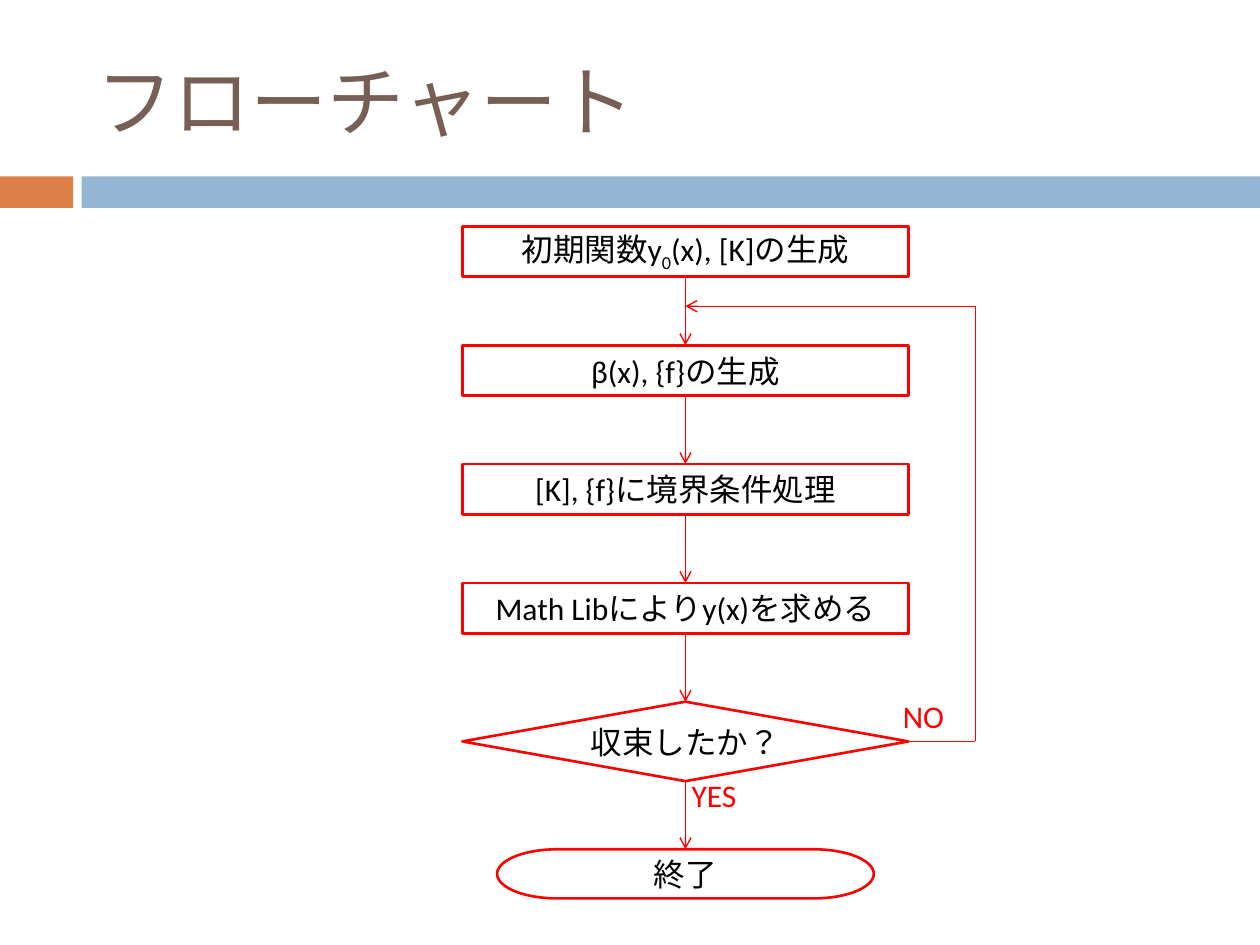
from dataclasses import dataclass
from typing import Optional

from lxml.etree import SubElement
from pptx import Presentation
from pptx.dml.color import RGBColor
from pptx.enum.lang import MSO_LANGUAGE_ID
from pptx.enum.shapes import MSO_CONNECTOR, MSO_SHAPE
from pptx.enum.text import MSO_ANCHOR, PP_ALIGN
from pptx.oxml.ns import qn
from pptx.util import Pt

COLORS = {"accent": "DD8047", "band": "94B6D2", "title": "775F55",
          "flow": "FF0000", "text": "000000"}
FONT = "Calibri"
CENTER_X = 391.7
BOX_W, BOX_H = 255, 28.8
TOP, PITCH = 129.4, 67.9
DECISION_H = 45.4
LOOP_X, LOOP_Y = 557.3, 175


@dataclass
class Node:
    kind: MSO_SHAPE
    top: float
    width: float
    height: float
    runs: list[tuple[str, bool]]


@dataclass
class Label:
    text: str
    left: float
    top: float
    width: float
    height: float
    size: float = 18
    color: str = "flow"
    align: Optional[PP_ALIGN] = None
    anchor: MSO_ANCHOR = MSO_ANCHOR.TOP


STEPS = [
    [("初期関数y", False), ("0", True), ("(x), [K]の生成", False)],
    [("β(x), {f}の生成", False)],
    [("[K], {f}に境界条件処理", False)],
    [("Math Libによりy(x)を求める", False)],
]
NODES = [Node(MSO_SHAPE.FLOWCHART_PROCESS, TOP + i * PITCH, BOX_W, BOX_H, runs)
         for i, runs in enumerate(STEPS)]
NODES += [
    Node(MSO_SHAPE.FLOWCHART_DECISION, TOP + len(STEPS) * PITCH, BOX_W,
         DECISION_H, [("収束したか？", False)]),
    Node(MSO_SHAPE.FLOWCHART_TERMINATOR, 485.3, 215.3, 28.1, [("終了", False)]),
]
LABELS = [
    Label("フローチャート", 48.2, 18, 642.2, 77.8, 44, "title",
          anchor=MSO_ANCHOR.MIDDLE),
    Label("YES", 388.1, 439.9, 51.1, 28.8),
    Label("NO", 505.4, 394.6, 44.6, 28.8, align=PP_ALIGN.CENTER),
]
BANDS = [(0, 41.8, "accent"), (46.6, 673.4, "band")]


def rgb(name: str) -> RGBColor:
    return RGBColor.from_string(COLORS[name])


def add_run(p, text: str, size: float, color: str, subscript: bool = False) -> None:
    r = p.add_run()
    r.text = text
    formats = {"name": FONT, "size": Pt(size),
               "language_id": MSO_LANGUAGE_ID.JAPANESE}
    for name, value in formats.items():
        setattr(r.font, name, value)
    r.font.color.rgb = rgb(color)
    if subscript:
        r.font._element.set("baseline", "-25000")


def add_band(s, left: float, width: float, color: str) -> None:
    sp = s.shapes.add_shape(MSO_SHAPE.RECTANGLE, Pt(left), Pt(100.8),
                            Pt(width), Pt(18))
    sp.shadow.inherit = False
    sp.fill.solid()
    sp.fill.fore_color.rgb = rgb(color)
    sp.line.fill.background()


def add_node(s, node: Node):
    sp = s.shapes.add_shape(node.kind, Pt(CENTER_X - node.width / 2), Pt(node.top),
                            Pt(node.width), Pt(node.height))
    sp.shadow.inherit = False
    sp.fill.background()
    sp.line.color.rgb = rgb("flow")
    sp.line.width = Pt(1.5)
    tf = sp.text_frame
    for name, value in {"word_wrap": False, "vertical_anchor": MSO_ANCHOR.MIDDLE}.items():
        setattr(tf, name, value)
    p = tf.paragraphs[0]
    p.alignment = PP_ALIGN.CENTER
    for text, subscript in node.runs:
        add_run(p, text, 18, "text", subscript)
    return sp


def add_line(s, start: tuple[float, float], end: tuple[float, float],
             arrow: bool = False):
    c = s.shapes.add_connector(MSO_CONNECTOR.STRAIGHT,
                               *(Pt(v) for v in (*start, *end)))
    c.line.color.rgb = rgb("flow")
    c.line.width = Pt(0.79)
    if arrow:
        SubElement(c.line._get_or_add_ln(), qn("a:tailEnd"), type="arrow")
    SubElement(c._element.spPr, qn("a:effectLst"))
    return c


def add_label(s, label: Label) -> None:
    sp = s.shapes.add_textbox(Pt(label.left), Pt(label.top),
                              Pt(label.width), Pt(label.height))
    tf = sp.text_frame
    for name, value in {"word_wrap": True, "vertical_anchor": label.anchor}.items():
        setattr(tf, name, value)
    p = tf.paragraphs[0]
    p.alignment = label.align
    add_run(p, label.text, label.size, label.color)


def main() -> None:
    prs = Presentation()
    prs.slide_width, prs.slide_height = Pt(720), Pt(540)
    s = prs.slides.add_slide(prs.slide_layouts[6])
    for band in BANDS:
        add_band(s, *band)
    shapes = [add_node(s, node) for node in NODES]
    for upper, lower in zip(shapes, shapes[1:]):
        c = add_line(s, (CENTER_X, 0), (CENTER_X, 0), arrow=True)
        c.begin_connect(upper, 2)
        c.end_connect(lower, 0)
    decision_y = NODES[4].top + DECISION_H / 2
    corners = [(CENTER_X + BOX_W / 2, decision_y), (LOOP_X, decision_y),
               (LOOP_X, LOOP_Y), (CENTER_X, LOOP_Y)]
    loop = [add_line(s, start, end, arrow=end == corners[-1])
            for start, end in zip(corners, corners[1:])]
    loop[0].begin_connect(shapes[4], 3)
    for label in LABELS:
        add_label(s, label)
    prs.save("out.pptx")


if __name__ == "__main__":
    main()
